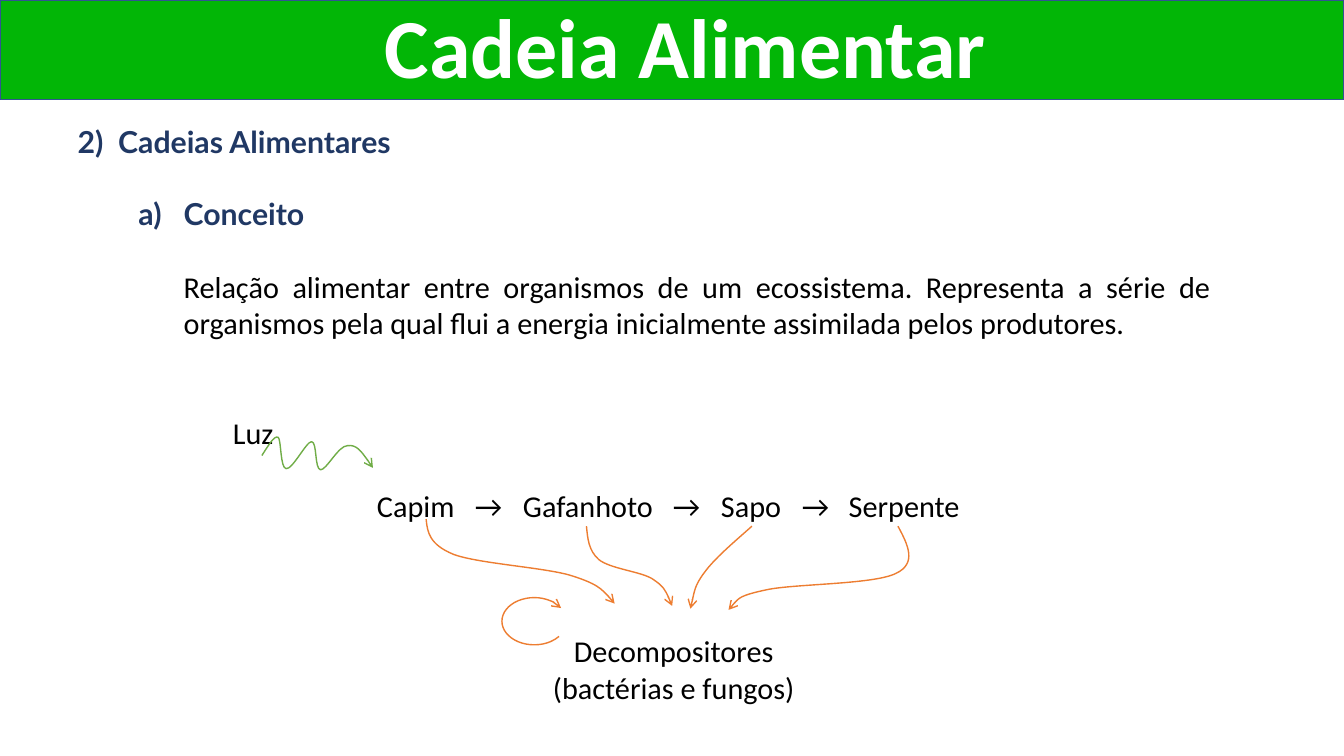
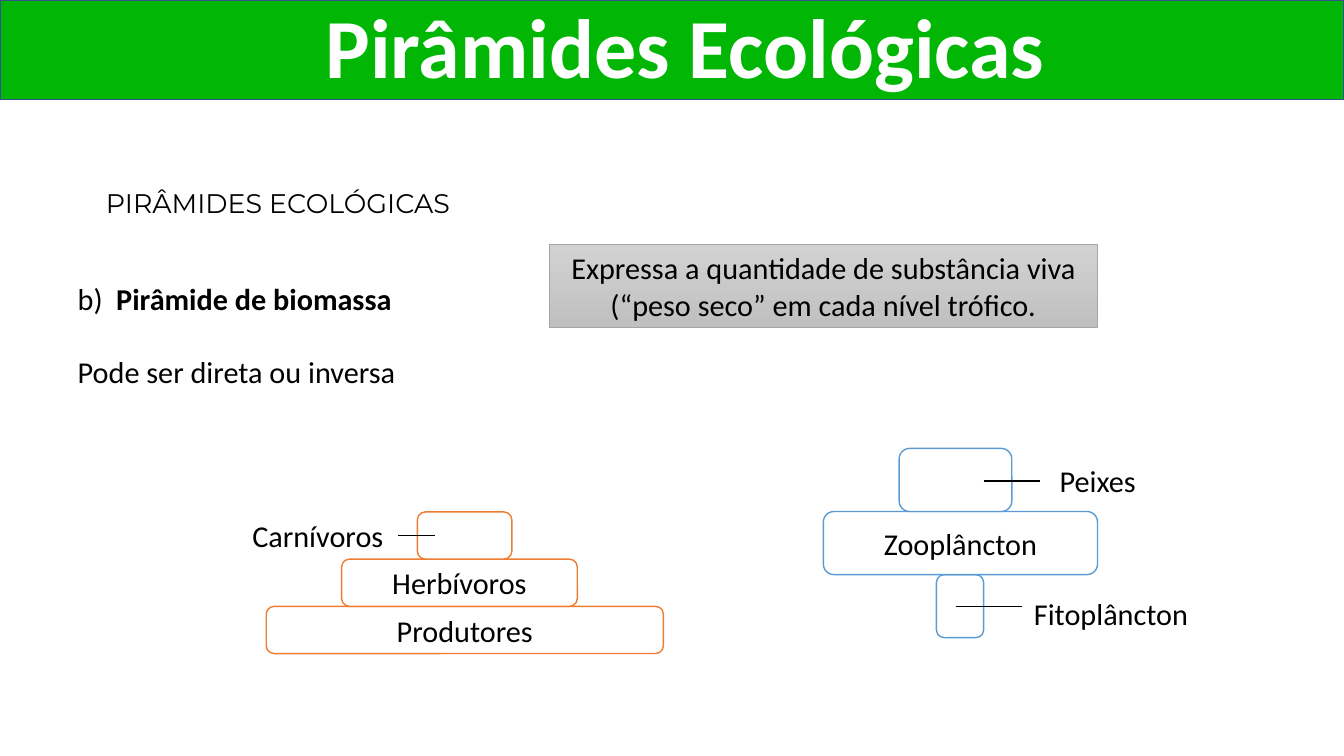
from lxml.etree import SubElement
from pptx import Presentation
from pptx.dml.color import RGBColor
from pptx.enum.shapes import MSO_CONNECTOR, MSO_SHAPE
from pptx.enum.text import MSO_ANCHOR, MSO_AUTO_SIZE, PP_ALIGN
from pptx.oxml.ns import qn
from pptx.util import Cm, Pt

GREEN = "02B606"
NAVY = "203864"
BLACK = "000000"
WHITE = "FFFFFF"
ORANGE = "ED7D31"
BLUE = "5B9BD5"
LEAF = "70AD47"
GREY = "A5A5A5"
BODY_SIZE = 21.6
LINE_GAP = 26


def color(value):
    return RGBColor.from_string(value)


def frame(shape, anchor=MSO_ANCHOR.TOP, inset=0):
    tf = shape.text_frame
    tf.word_wrap = True
    tf.auto_size = MSO_AUTO_SIZE.NONE
    tf.vertical_anchor = anchor
    tf.margin_left = tf.margin_right = Cm(inset)
    tf.margin_top = tf.margin_bottom = 0
    return tf


def write(p, text, size=BODY_SIZE, font="Calibri", fill=BLACK, bold=False,
          align=PP_ALIGN.LEFT, before=0):
    p.alignment = align
    if before:
        p.space_before = Pt(before)
    r = p.add_run()
    r.text = text
    r.font.size = Pt(size)
    r.font.name = font
    r.font.bold = bold
    r.font.color.rgb = color(fill)


def indent(p, left, hanging=0):
    pPr = p._p.get_or_add_pPr()
    pPr.set("marL", str(Cm(left)))
    pPr.set("indent", str(-Cm(hanging)))
    return pPr


def add_box(s, x, y, w, h, anchor=MSO_ANCHOR.TOP):
    return frame(s.shapes.add_textbox(Cm(x), Cm(y), Cm(w), Cm(h)), anchor)


def add_label(s, text, x, y, w, h=1.17, **style):
    write(add_box(s, x, y, w, h, MSO_ANCHOR.MIDDLE).paragraphs[0], text, **style)


def outline(shape, line, width=1, arrow=False):
    shape.line.color.rgb = color(line)
    shape.line.width = Pt(width)
    if arrow:
        SubElement(shape.line._get_or_add_ln(), qn("a:tailEnd"), type="arrow")


def add_preset(s, kind, x, y, w, h, line, fill=None, width=1, arrow=False):
    shape = s.shapes.add_shape(kind, Cm(x), Cm(y), Cm(w), Cm(h))
    shape.shadow.inherit = False
    if fill:
        shape.fill.solid()
        shape.fill.fore_color.rgb = color(fill)
    else:
        shape.fill.background()
    outline(shape, line, width, arrow)
    return shape


def add_curve_arrow(s, points, line):
    points = [(Cm(x), Cm(y)) for x, y in points]
    builder = s.shapes.build_freeform(*points[0], scale=1.0)
    builder.add_line_segments(points[1:], close=False)
    shape = builder.convert_to_shape()
    segments = shape._element.findall(".//" + qn("a:lnTo"))
    for i in range(0, len(segments), 3):
        curve = SubElement(segments[i].getparent(), qn("a:cubicBezTo"))
        for segment in segments[i:i + 3]:
            curve.append(segment[0])
            segment.getparent().remove(segment)
    shape.shadow.inherit = False
    shape.fill.background()
    outline(shape, line, arrow=True)


def add_pointer(s, x1, x2, y):
    pointer = s.shapes.add_connector(MSO_CONNECTOR.STRAIGHT, Cm(x1), Cm(y), Cm(x2), Cm(y))
    outline(pointer, BLACK)
    SubElement(pointer._element.spPr, qn("a:effectLst"))


def add_pyramid(s, top, height, line, tiers):
    for i, (x, w, text) in reversed(list(enumerate(tiers))):
        tier = add_preset(s, MSO_SHAPE.ROUNDED_RECTANGLE, x, top + i * height,
                          w, height, line, WHITE)
        if text:
            tf = frame(tier, MSO_ANCHOR.MIDDLE)
            write(tf.paragraphs[0], text, align=PP_ALIGN.CENTER)


def add_titled_slide(prs, text):
    s = prs.slides.add_slide(prs.slide_layouts[5])
    band = add_preset(s, MSO_SHAPE.RECTANGLE, 0, 0, 33.87, 2.51, "325491", GREEN)
    s.shapes._spTree.insert(2, band._element)
    title = s.shapes.title
    title.left, title.top, title.width, title.height = Cm(1.6), Cm(0.05), Cm(31.34), Cm(2.46)
    tf = frame(title, MSO_ANCHOR.BOTTOM, 0.25)
    tf.margin_top = tf.margin_bottom = Cm(0.13)
    p = tf.paragraphs[0]
    p.line_spacing = 0.8
    write(p, text, size=60, fill=WHITE, bold=True, align=PP_ALIGN.CENTER)
    return s


def add_food_chain(prs):
    s = add_titled_slide(prs, "Cadeia Alimentar")
    heading = {"font": "Lato", "fill": NAVY, "bold": True}
    tf = add_box(s, 1.96, 3.1, 28.55, 6)
    p = tf.paragraphs[0]
    indent(p, 1.02, 1.02)
    write(p, "2)\tCadeias Alimentares", **heading)
    p = tf.add_paragraph()
    SubElement(indent(p, 2.67, 1.14), qn("a:buAutoNum"), type="alphaLcParenR")
    write(p, "Conceito", before=LINE_GAP, **heading)
    p = tf.add_paragraph()
    indent(p, 2.67)
    write(p, "Relação alimentar entre organismos de um ecossistema. Representa a série de "
          "organismos pela qual flui a energia inicialmente assimilada pelos produtores.",
          align=PP_ALIGN.JUSTIFY, before=LINE_GAP)

    write(add_box(s, 5.87, 10.43, 2, 0.93).paragraphs[0], "Luz")
    p = add_box(s, 9.5, 12.27, 16, 0.93).paragraphs[0]
    tabs = SubElement(p._p.get_or_add_pPr(), qn("a:tabLst"))
    for stop in (2.47, 3.68, 7.46, 8.67, 10.71, 11.89):
        SubElement(tabs, qn("a:tab"), pos=str(Cm(stop)), algn="l")
    write(p, "\t→\t".join(["Capim", "Gafanhoto", "Sapo", "Serpente"]))
    tf = add_box(s, 12.98, 15.94, 8, 1.9)
    write(tf.paragraphs[0], "Decompositores", align=PP_ALIGN.CENTER)
    write(tf.add_paragraph(), "(bactérias e fungos)", align=PP_ALIGN.CENTER)

    to_decomposers = [
        [(10.74, 13.08), (10.77, 13.41), (10.82, 13.72), (11.43, 13.97), (12.04, 14.2),
         (13.72, 14.3), (14.38, 14.5), (15.06, 14.71), (15.29, 14.96), (15.49, 15.21)],
        [(14.78, 13.26), (14.81, 13.56), (14.83, 13.87), (15.09, 14.1), (15.37, 14.33),
         (16.13, 14.4), (16.43, 14.58), (16.74, 14.78), (16.84, 15.01), (16.94, 15.27)],
        [(18.95, 13.26), (18.49, 13.67), (18.01, 14.07), (17.75, 14.43),
         (17.5, 14.76), (17.41, 15.3), (17.4, 15.34)],
        [(22.63, 13.26), (22.89, 13.74), (23.11, 14.2), (22.58, 14.45), (22.02, 14.73),
         (20.04, 14.71), (19.33, 14.86), (18.62, 15.01), (18.49, 15.19), (18.36, 15.37)],
    ]
    for points in to_decomposers:
        add_curve_arrow(s, points, ORANGE)
    light_wave = [
        (6.6, 11.48), (6.76, 11.23), (6.91, 10.97), (7.01, 11.02), (7.09, 11.07),
        (7.06, 11.79), (7.21, 11.81), (7.37, 11.84), (7.72, 11.13), (7.85, 11.13),
        (8, 11.13), (7.92, 11.81), (8.08, 11.84), (8.23, 11.84), (8.53, 11.23),
        (8.76, 11.23), (8.99, 11.2), (9.19, 11.48), (9.4, 11.79),
    ]
    add_curve_arrow(s, light_wave, LEAF)
    loop = add_preset(s, MSO_SHAPE.ARC, 12.65, 15.06, 1.63, 1.19, ORANGE, arrow=True)
    loop.adjustments[0] = 18.84
    loop.adjustments[1] = 200.3


def add_biomass_pyramids(prs):
    s = add_titled_slide(prs, "Pirâmides Ecológicas")
    write(add_box(s, 2.67, 4.7, 11.7, 0.85).paragraphs[0], "PIRÂMIDES ECOLÓGICAS",
          size=19.2, font="Montserrat")
    tf = add_box(s, 1.96, 7.06, 9, 2.8)
    p = tf.paragraphs[0]
    indent(p, 0.97, 0.97)
    write(p, "b)\t")
    write(p, "Pirâmide de biomassa", bold=True)
    write(tf.add_paragraph(), "Pode ser direta ou inversa", before=LINE_GAP)

    note = add_preset(s, MSO_SHAPE.RECTANGLE, 13.84, 6.15, 13.82, 2.11, GREY, width=0.5)
    note.fill.gradient()
    note.fill.gradient_angle = 270
    for stop, shade in zip(note.fill.gradient_stops, ("D2D2D2", "C0C0C0")):
        stop.color.rgb = color(shade)
    write(frame(note, MSO_ANCHOR.MIDDLE, 0.25).paragraphs[0],
          "Expressa a quantidade de substância viva (“peso seco” em cada nível trófico.",
          align=PP_ALIGN.CENTER)

    add_pyramid(s, 12.9, 1.19, ORANGE, [
        (10.52, 2.38, ""), (8.61, 5.94, "Herbívoros"), (6.71, 10.01, "Produtores")])
    add_pyramid(s, 11.3, 1.59, BLUE, [
        (22.66, 2.84, ""), (20.75, 6.91, "Zooplâncton"), (23.6, 1.19, "")])
    for text, x, y, w in [("Carnívoros", 5.51, 12.9, 5), ("Peixes", 25.76, 11.51, 3.81),
                          ("Fitoplâncton", 25.5, 14.88, 5)]:
        add_label(s, text, x, y, w, align=PP_ALIGN.CENTER)
    for x1, x2, y in [(10.03, 10.97, 13.49), (24.79, 26.21, 12.12), (24.08, 25.76, 15.29)]:
        add_pointer(s, x1, x2, y)


def main():
    prs = Presentation()
    prs.slide_width, prs.slide_height = Cm(33.87), Cm(19.05)
    add_food_chain(prs)
    add_biomass_pyramids(prs)
    prs.save("out.pptx")


if __name__ == "__main__":
    main()
